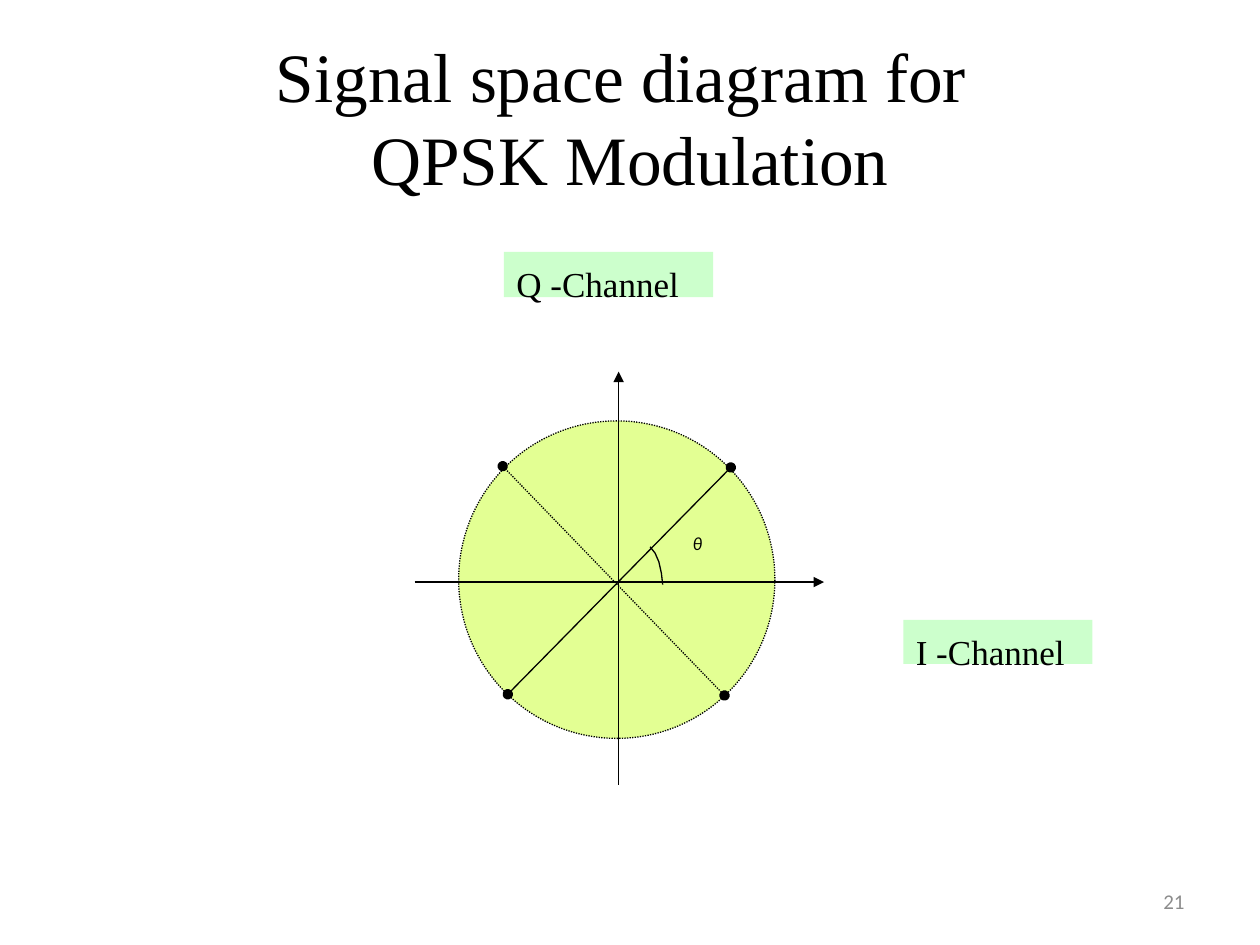
from lxml.etree import SubElement
from pptx import Presentation
from pptx.dml.color import RGBColor
from pptx.enum.dml import MSO_LINE
from pptx.enum.shapes import MSO_CONNECTOR, MSO_SHAPE
from pptx.enum.text import MSO_ANCHOR, PP_ALIGN
from pptx.oxml.ns import qn
from pptx.util import Inches, Pt

INK = {"black": "000000", "lime": "E3FF93", "mint": "CCFFCC", "gray": "8C8C8C"}
SERIF = "Times New Roman"


def tint(name):
    """Return the named colour."""
    return RGBColor.from_string(INK[name])


def write(shape, text, size, face, ink="black", align=PP_ALIGN.LEFT,
          anchor=MSO_ANCHOR.TOP, wrap=True, top=0.05, slant=False):
    """Set the one paragraph of a shape."""
    frame = shape.text_frame
    frame.word_wrap = wrap
    frame.vertical_anchor = anchor
    frame.margin_top = Inches(top)
    para = frame.paragraphs[0]
    para.text = text
    para.alignment = align
    font = para.font
    font.size, font.name, font.italic = Pt(size), face, slant
    font.color.rgb = tint(ink)


def stroke(line, dotted=False):
    """Give a line its thin black stroke."""
    line.width = Pt(0.75)
    line.color.rgb = tint("black")
    if dotted:
        line.dash_style = MSO_LINE.ROUND_DOT


def block(shapes, kind, box, fill):
    """Add a filled shape without outline."""
    shape = shapes.add_shape(kind, *map(Inches, box))
    shape.shadow.inherit = False
    shape.fill.solid()
    shape.fill.fore_color.rgb = tint(fill)
    shape.line.fill.background()
    return shape


def link(shapes, start, end, head=None, tail=None, dotted=False):
    """Add a straight line with end marks."""
    wire = shapes.add_connector(MSO_CONNECTOR.STRAIGHT,
                                *map(Inches, (*start, *end)))
    stroke(wire.line, dotted)
    props = wire.line._get_or_add_ln()
    for tag, mark in (("a:headEnd", head), ("a:tailEnd", tail)):
        if mark:
            SubElement(props, qn(tag), type=mark)
    SubElement(wire._element.spPr, qn("a:effectLst"))


def title(slide, box):
    """Add the two-line heading."""
    write(slide.shapes.add_textbox(*map(Inches, box)),
          "Signal space diagram for \vQPSK Modulation", 39.6, SERIF,
          align=PP_ALIGN.CENTER, anchor=MSO_ANCHOR.MIDDLE)


def diagram(slide, box):
    """Draw the circle, axes, signal points and angle."""
    left, top, width, height = box
    shapes = slide.shapes.add_group_shape().shapes

    def at(x, y):
        return left + x, top + y

    disc = block(shapes, MSO_SHAPE.OVAL, (*at(0.35, 0.39), 2.51, 2.52), "lime")
    stroke(disc.line, True)
    link(shapes, at(1.62, height), at(1.62, 0), tail="triangle")
    link(shapes, at(0, 1.67), at(width, 1.67), tail="triangle")
    link(shapes, at(2.46, 2.57), at(0.7, 0.75), "oval", "oval", True)
    link(shapes, at(0.74, 2.56), at(2.51, 0.76), "oval", "oval")
    theta = block(shapes, MSO_SHAPE.RECTANGLE, (*at(2.11, 1.23), 0.41, 0.36), "lime")
    write(theta, "θ", 10, "Lato", slant=True)

    bend = [(1.87, 1.39), (1.91, 1.44), (1.94, 1.51), (1.96, 1.6), (1.97, 1.69)]
    first, *rest = [tuple(map(Inches, at(*spot))) for spot in bend]
    path = shapes.build_freeform(*first)
    path.add_line_segments(rest, close=False)
    arc = path.convert_to_shape()
    arc.shadow.inherit = False
    arc.fill.background()
    stroke(arc.line)


def label(slide, box, text):
    """Add an axis label on a mint block."""
    shape = block(slide.shapes, MSO_SHAPE.RECTANGLE, box, "mint")
    write(shape, text, 20, SERIF, wrap=False, top=0.08)


def number(slide, box):
    """Add the slide number."""
    write(slide.shapes.add_textbox(*map(Inches, box)), "21", 12, "Calibri",
          "gray", PP_ALIGN.RIGHT, MSO_ANCHOR.MIDDLE)


def main():
    """Build and save the slide."""
    deck = Presentation()
    deck.slide_width, deck.slide_height = Inches(10), Inches(7.5)
    slide = deck.slides.add_slide(deck.slide_layouts[6])
    title(slide, (0.5, 0.3, 9, 1.25))
    diagram(slide, (3.29, 2.95, 3.25, 3.28))
    label(slide, (7.17, 4.92, 1.5, 0.35), "I -Channel")
    label(slide, (4, 2, 1.66, 0.36), "Q -Channel")
    number(slide, (7.17, 6.95, 2.33, 0.4))
    deck.save("out.pptx")


if __name__ == "__main__":
    main()
